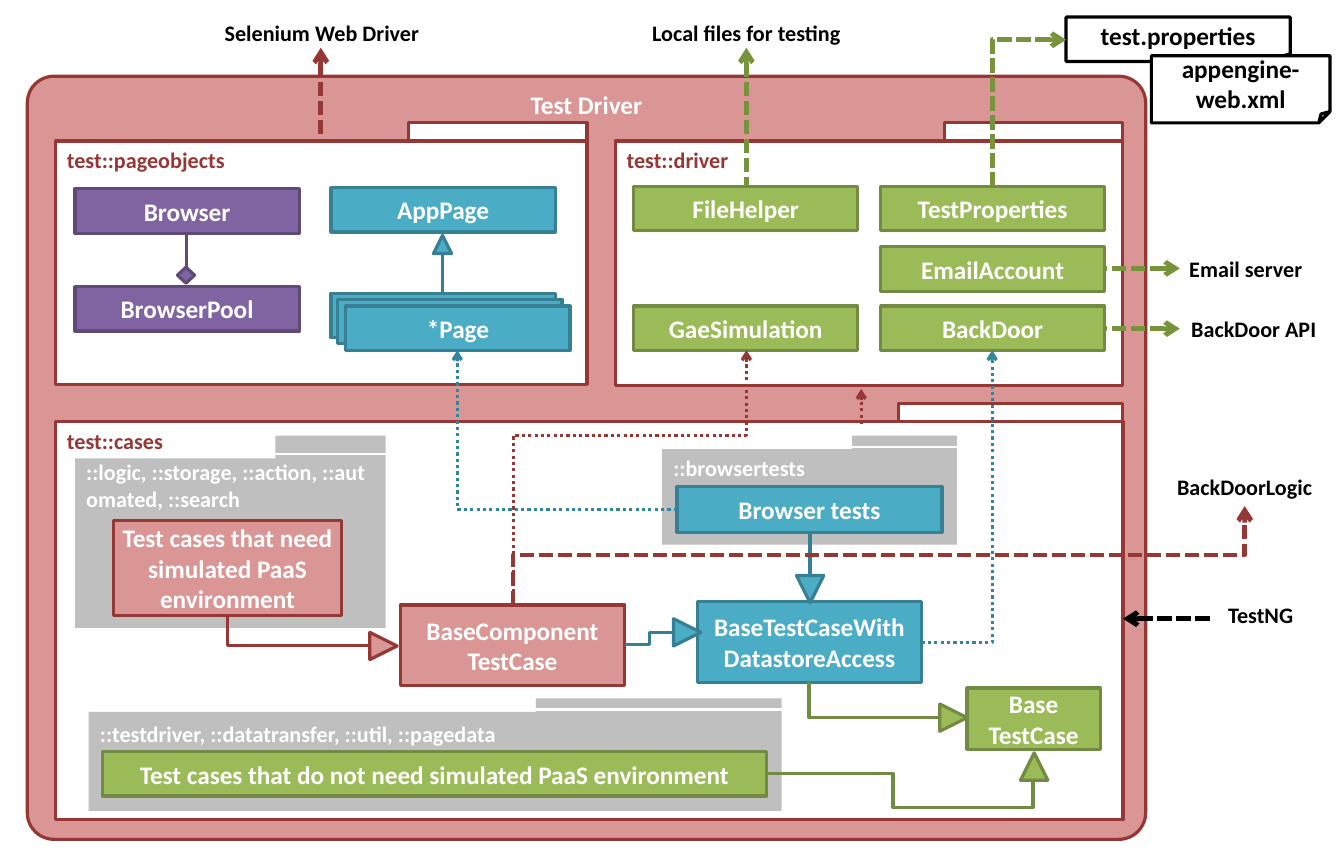
from dataclasses import dataclass

from lxml import etree
from pptx import Presentation
from pptx.dml.color import RGBColor
from pptx.enum.dml import MSO_LINE
from pptx.enum.shapes import MSO_CONNECTOR, MSO_SHAPE
from pptx.enum.text import MSO_ANCHOR, PP_ALIGN
from pptx.oxml.ns import qn
from pptx.util import Pt

PX = 9144
SLIDE_WIDTH, SLIDE_HEIGHT = Pt(850.5), Pt(540)
FONT = "Calibri"
TOP, MIDDLE = MSO_ANCHOR.TOP, MSO_ANCHOR.MIDDLE
LEFT, CENTER = PP_ALIGN.LEFT, PP_ALIGN.CENTER
RECTANGLE, ROUNDED = MSO_SHAPE.RECTANGLE, MSO_SHAPE.ROUNDED_RECTANGLE
TRIANGLE, DIAMOND = MSO_SHAPE.ISOSCELES_TRIANGLE, MSO_SHAPE.FLOWCHART_DECISION
NOTE = MSO_SHAPE.FOLDED_CORNER
STRAIGHT, ELBOW = MSO_CONNECTOR.STRAIGHT, MSO_CONNECTOR.ELBOW
DASH, DOT = MSO_LINE.SQUARE_DOT, MSO_LINE.ROUND_DOT
HEAD, TAIL = "a:headEnd", "a:tailEnd"

COLORS = {
    "white": "FFFFFF", "black": "000000", "grey": "BFBFBF",
    "red": "D99694", "dark red": "953735",
    "purple": "8064A2", "dark purple": "5F4A78",
    "blue": "4BACC6", "dark blue": "377F92", "dotted blue": "31859C",
    "green": "9BBB59", "dark green": "738A42", "dashed green": "77933C",
}


@dataclass
class Box:
    left: int
    top: int
    fill: str
    text: str = ""
    width: int = 197
    height: int = 39
    shape: MSO_SHAPE = RECTANGLE
    line: str = ""
    color: str = "white"
    size: int = 16
    anchor: MSO_ANCHOR = MIDDLE
    align: PP_ALIGN = CENTER
    inset: int = 10
    rotation: int = 0


@dataclass
class Package:
    left: int
    top: int
    width: int
    height: int
    tab_width: int
    text: str


@dataclass
class Folder:
    left: int
    top: int
    width: int
    height: int
    tab_width: int
    tab_height: int
    text: str
    text_top: int
    spacing: float = 1.5


@dataclass
class Route:
    color: str
    points: list[tuple[int, int]]
    width: float = 2
    dash: MSO_LINE | None = None
    arrow: str = ""


@dataclass
class Label:
    left: int
    top: int
    width: int
    height: int
    text: str


PACKAGES = [
    Package(541, 124, 446, 215, 157, "test::driver"),
    Package(49, 371, 938, 350, 197, "test::cases"),
    Package(49, 124, 467, 214, 157, "test::pageobjects"),
]
FOLDERS = [
    Folder(66, 383, 273, 169, 97, 20,
           "::logic, ::storage, ::action, ::automated, ::search", 20, 1),
    Folder(582, 383, 259, 96, 92, 12, "::browsertests", 5),
    Folder(78, 614, 609, 99, 216, 12,
           "::testdriver, ::datatransfer, ::util, ::pagedata", 8),
]
BOXES = [
    Box(66, 252, "purple", "BrowserPool"),
    Box(66, 166, "purple", "Browser"),
    Box(156, 235, "purple", width=15, height=14, shape=DIAMOND),
    Box(291, 165, "blue", "AppPage"),
    Box(381, 207, "blue", width=16, height=16, shape=TRIANGLE),
    Box(291, 258, "blue"),
    Box(297, 263, "blue"),
    Box(304, 269, "blue", "*Page", inset=0),
    Box(557, 164, "green", "FileHelper"),
    Box(557, 269, "green", "GaeSimulation"),
    Box(774, 164, "green", "TestProperties"),
    Box(774, 217, "green", "EmailAccount"),
    Box(774, 269, "green", "BackDoor"),
    Box(850, 605, "green", "Base\vTestCase", 117, 54),
    Box(352, 532, "red", "BaseComponent\vTestCase", 197, 71, inset=0),
    Box(613, 529, "blue", "BaseTestCaseWith\vDatastoreAccess", 197, 71),
    Box(595, 428, "blue", "Browser tests", 233, 40),
    Box(90, 661, "green",
        "Test cases that do not need simulated PaaS environment", 584),
    Box(100, 458, "red", "Test cases that need simulated PaaS environment",
        200, 83, inset=0),
    Box(826, 619, "green", width=24, height=24, shape=TRIANGLE, rotation=90),
    Box(700, 506, "blue", width=24, height=24, shape=TRIANGLE, rotation=180),
    Box(897, 662, "green", width=24, height=24, shape=TRIANGLE),
    Box(325, 556, "red", width=24, height=24, shape=TRIANGLE, rotation=90),
    Box(592, 544, "blue", width=24, height=24, shape=TRIANGLE, rotation=90),
    Box(937, 15, "white", "test.properties", shape=NOTE, line="black", color="black"),
    Box(1012, 49, "white", "appengine-web.xml", 157, 59, NOTE, "black", "black"),
]
ROUTES = [
    Route("dark purple", [(164, 205), (164, 235)]),
    Route("dark blue", [(389, 223), (389, 258)]),
    Route("dark blue", [(712, 506), (712, 468)]),
    Route("dark blue", [(549, 567), (571, 567), (571, 556), (592, 556)]),
    Route("dark green", [(711, 600), (711, 631), (826, 631)]),
    Route("dark green", [(674, 680), (785, 680), (785, 710), (908, 710), (908, 685)]),
    Route("dark red", [(325, 568), (200, 568), (200, 541)]),
    Route("dotted blue", [(810, 565), (872, 565), (872, 308)], 2, DOT, TAIL),
    Route("dotted blue", [(595, 448), (402, 448), (402, 308)], 2, DOT, TAIL),
    Route("dark red", [(451, 532), (451, 383), (656, 383), (656, 308)], 2, DOT, TAIL),
    Route("dark red", [(757, 373), (757, 342)], 2, DOT, TAIL),
    Route("dark red", [(282, 42), (282, 125)], 3, DASH, HEAD),
    Route("dark red", [(451, 532), (451, 488), (1094, 488), (1094, 445)], 3, DASH, TAIL),
    Route("dashed green", [(656, 42), (656, 164)], 3, DASH, HEAD),
    Route("dashed green", [(1037, 236), (971, 236)], 3, DASH, HEAD),
    Route("dashed green", [(1037, 289), (971, 289)], 3, DASH, HEAD),
    Route("dashed green", [(872, 164), (872, 35), (937, 35)], 3, DASH, TAIL),
    Route("black", [(987, 544), (1066, 544)], 3, DASH, HEAD),
]
LABELS = [
    Label(170, 12, 226, 31, "Selenium Web Driver"),
    Label(562, 12, 188, 31, "Local files for testing"),
    Label(1023, 220, 144, 34, "Email server"),
    Label(1030, 272, 144, 34, "BackDoor API"),
    Label(1022, 411, 144, 34, "BackDoorLogic"),
    Label(1049, 524, 118, 39, "TestNG"),
]


def rgb(name: str) -> RGBColor:
    return RGBColor.from_string(COLORS[name])


def write(shape, text: str, size: int, color: str, align: PP_ALIGN, anchor: MSO_ANCHOR):
    frame = shape.text_frame
    frame.word_wrap = True
    frame.vertical_anchor = anchor
    para = frame.paragraphs[0]
    para.text = text
    para.alignment = align
    para.font.name, para.font.size, para.font.bold = FONT, Pt(size), True
    para.font.color.rgb = rgb(color)
    return frame


def draw_box(page, box: Box):
    shape = page.shapes.add_shape(
        box.shape, *(n * PX for n in (box.left, box.top, box.width, box.height)))
    shape.shadow.inherit = False
    shape.rotation = box.rotation
    shape.fill.solid()
    shape.fill.fore_color.rgb = rgb(box.fill)
    shape.line.color.rgb = rgb(box.line or "dark " + box.fill)
    shape.line.width = Pt(2)
    if box.text:
        frame = write(shape, box.text, box.size, box.color, box.align, box.anchor)
        frame.margin_left = frame.margin_right = box.inset * PX
    return shape


def draw_package(page, package: Package) -> None:
    draw_box(page, Box(package.left, package.top, "white", package.text, package.width,
                       package.height, line="dark red", color="dark red", size=14,
                       anchor=TOP, align=LEFT))
    draw_box(page, Box(package.left + package.width - package.tab_width, package.top - 16,
                       "white", "", package.tab_width, 16, line="dark red"))


def draw_folder(page, folder: Folder) -> None:
    right, bottom = folder.left + folder.width, folder.top + folder.height
    tab_left, body_top = right - folder.tab_width, folder.top + folder.tab_height
    builder = page.shapes.build_freeform(tab_left, folder.top, PX)
    builder.add_line_segments([(right, folder.top), (right, bottom), (folder.left, bottom),
                               (folder.left, body_top), (tab_left, body_top)])
    shape = builder.convert_to_shape()
    shape.shadow.inherit = False
    shape.fill.solid()
    shape.fill.fore_color.rgb = rgb("grey")
    shape.line.fill.background()
    frame = write(shape, folder.text, 14, "white", LEFT, TOP)
    frame.margin_top = folder.text_top * PX
    frame.paragraphs[0].line_spacing = folder.spacing
    seam = folder.top + folder.tab_height * 5 // 6
    draw_route(page, Route("white", [(tab_left, seam), (right, seam)], 1.5))


def draw_route(page, route: Route) -> None:
    points = route.points
    (x1, y1), (x2, y2) = points[0], points[-1]
    bends = len(points) - 2
    upright = bends > 0 and points[1][0] == x1
    ends = (x1, y1, x2, y2)
    if upright:
        x, y, dx, dy = (x1 + x2) / 2, (y1 + y2) / 2, (x2 - x1) / 2, (y2 - y1) / 2
        ends = (x - dy, y + dx, x + dy, y - dx)
    connector = page.shapes.add_connector(
        ELBOW if bends else STRAIGHT, *(int(n * PX) for n in ends))
    properties = connector.element.spPr
    if upright:
        properties.find(qn("a:xfrm")).set("rot", "5400000")
    if bends:
        geometry = properties.find(qn("a:prstGeom"))
        geometry.set("prst", f"bentConnector{bends + 1}")
        guides = geometry.find(qn("a:avLst"))
        for index in range(1, bends):
            axis = (index - 1 + upright) % 2
            start, end = points[0][axis], points[-1][axis]
            share = round(100000 * (points[index][axis] - start) / (end - start))
            etree.SubElement(guides, qn("a:gd"), name=f"adj{index}", fmla=f"val {share}")
    connector.line.color.rgb = rgb(route.color)
    connector.line.width = Pt(route.width)
    if route.dash:
        connector.line.dash_style = route.dash
    if route.arrow:
        etree.SubElement(connector.get_or_add_ln(), qn(route.arrow), type="arrow")
    etree.SubElement(properties, qn("a:effectLst"))


def draw_label(page, label: Label) -> None:
    area = (label.left, label.top, label.width, label.height)
    shape = page.shapes.add_textbox(*(n * PX for n in area))
    write(shape, label.text, 14, "black", CENTER, TOP)


def main() -> None:
    deck = Presentation()
    deck.slide_width, deck.slide_height = SLIDE_WIDTH, SLIDE_HEIGHT
    page = deck.slides.add_slide(deck.slide_layouts[6])
    driver = draw_box(page, Box(24, 67, "red", "Test Driver", 983, 671, ROUNDED, anchor=TOP))
    driver.adjustments[0] = 0.035
    for items, draw in ((PACKAGES, draw_package), (FOLDERS, draw_folder), (BOXES, draw_box),
                        (ROUTES, draw_route), (LABELS, draw_label)):
        for item in items:
            draw(page, item)
    deck.save("out.pptx")


if __name__ == "__main__":
    main()
